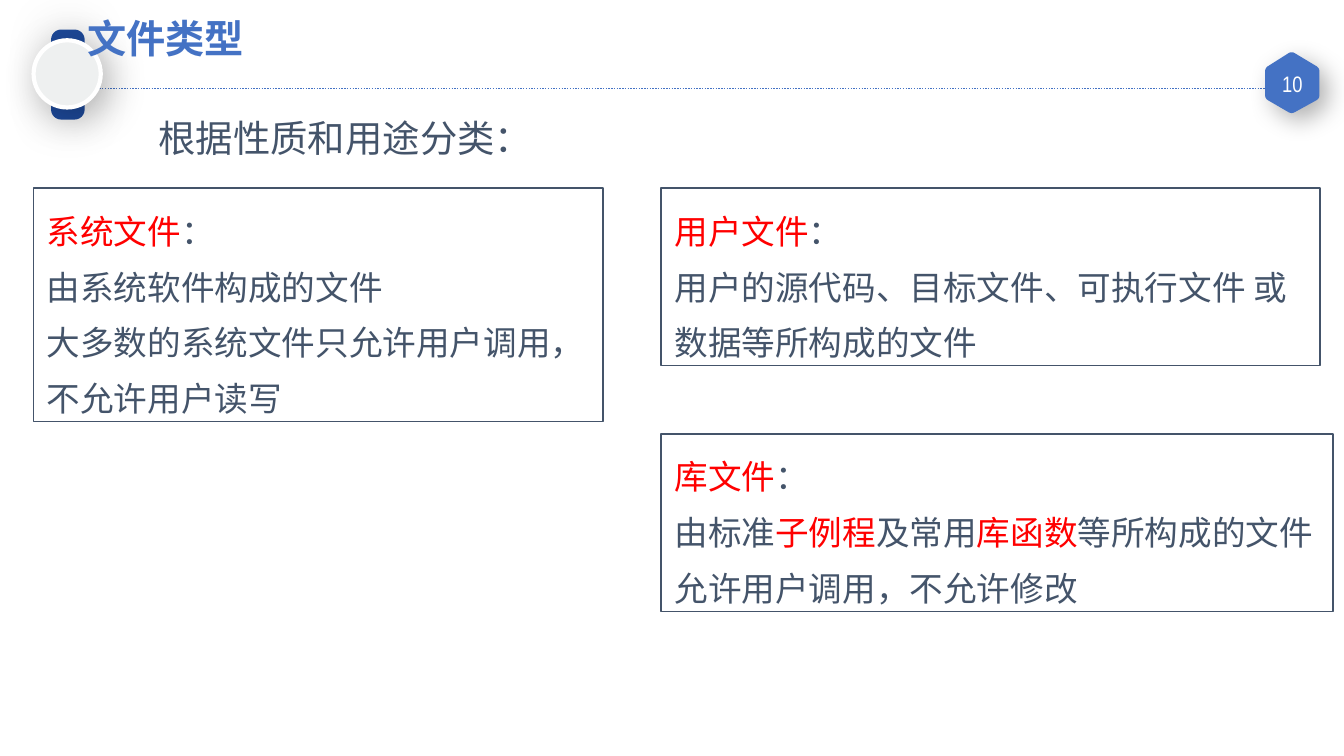
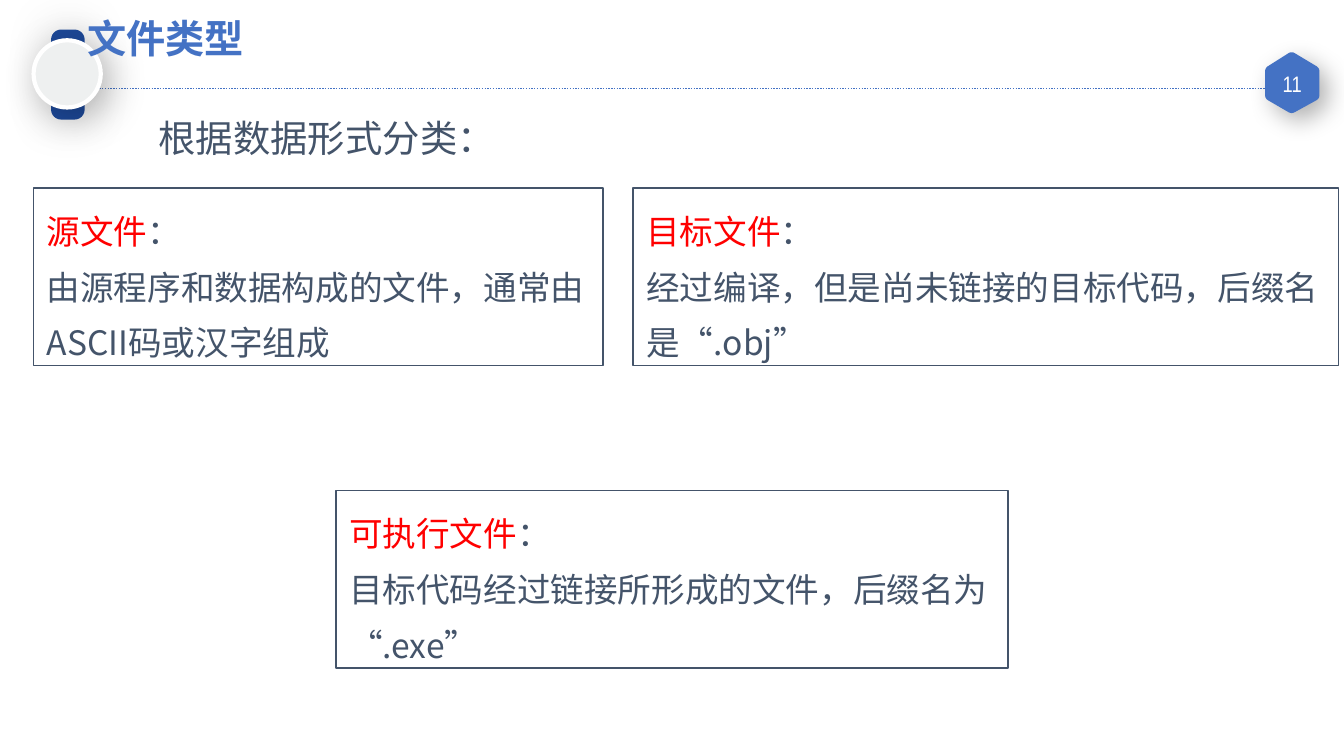
"""Builds two slides that classify file types by purpose and by data form."""
from dataclasses import dataclass

from lxml.etree import SubElement
from pptx import Presentation
from pptx.dml.color import RGBColor
from pptx.enum.dml import MSO_LINE
from pptx.enum.lang import MSO_LANGUAGE_ID
from pptx.enum.shapes import MSO_CONNECTOR, MSO_SHAPE
from pptx.enum.text import MSO_ANCHOR, MSO_AUTO_SIZE, PP_ALIGN
from pptx.oxml.ns import qn
from pptx.util import Inches, Pt


@dataclass(frozen=True)
class Theme:
    blue: str = "4472C4"
    navy: str = "1D4999"
    pale: str = "EEF0F0"
    white: str = "FFFFFF"
    ink: str = "44546A"
    red: str = "FF0000"
    shadow: str = "000000"
    font: str = "Noto Sans CJK SC"
    number_font: str = "Arial Narrow"
    title: int = 21
    heading: int = 20
    body: int = 18
    number: int = 12
    leading: int = 30


T = Theme()
FIRST_NUMBER = 10
TITLE = "文件类型"
SLIDES = [
    {
        "heading": ("根据性质和用途分类：", 3.01),
        "boxes": [
            ((0.25, 1.4, 4.24), ["*系统文件*：", "由系统软件构成的文件",
                                 "大多数的系统文件只允许用户调用，", "不允许用户读写"]),
            ((4.92, 1.4, 4.9), ["*用户文件*：", "用户的源代码、目标文件、可执行文件 或",
                                "数据等所构成的文件"]),
            ((4.92, 3.23, 5), ["*库文件*：", "由标准*子例程*及常用*库函数*等所构成的文件",
                               "允许用户调用，不允许修改"]),
        ],
    },
    {
        "heading": ("根据数据形式分类：", 2.73),
        "boxes": [
            ((0.25, 1.4, 4.24), ["*源文件*：", "由源程序和数据构成的文件，通常由",
                                 "ASCII码或汉字组成"]),
            ((4.71, 1.4, 5.25), ["*目标文件*：", "经过编译，但是尚未链接的目标代码，后缀名",
                                 "是“.obj”"]),
            ((2.5, 3.65, 5), ["*可执行文件*：", "目标代码经过链接所形成的文件，后缀名为",
                              "“.exe”"]),
        ],
    },
]
HEXAGON = [(9.42, 0.51), (9.61, 0.39), (9.81, 0.51),
           (9.81, 0.73), (9.61, 0.84), (9.42, 0.73)]


def rgb(color):
    return RGBColor.from_string(color)


def set_attrs(target, values):
    for name, value in values.items():
        setattr(target, name, value)


def add_run(p, text, size, color, font=T.font, bold=False):
    r = p.add_run()
    r.text = text
    r.font.color.rgb = rgb(color)
    set_attrs(r.font, {"size": Pt(size), "bold": bold, "name": font,
                       "language_id": MSO_LANGUAGE_ID.SIMPLIFIED_CHINESE})
    SubElement(r.font._element, qn("a:ea"), typeface=font)


def add_text_box(s, left, top, width, height, **frame):
    sp = s.shapes.add_textbox(*map(Inches, (left, top, width, height)))
    set_attrs(sp.text_frame, frame)
    return sp


def paint(sp, fill, shadow, line=None, width=1):
    """Fills and outlines a shape; shadow is opacity, blur, distance, angle."""
    sp.fill.solid()
    sp.fill.fore_color.rgb = rgb(fill)
    if line:
        sp.line.color.rgb = rgb(line)
        sp.line.width = Pt(width)
    else:
        sp.line.fill.background()
    sp.shadow.inherit = False
    opacity, blur, distance, angle = shadow
    effects = sp.element.spPr.find(qn("a:effectLst"))
    outer = SubElement(effects, qn("a:outerShdw"), blurRad=str(Pt(blur)),
                       dist=str(Pt(distance)), dir=str(angle * 60000),
                       algn="ctr", rotWithShape="0")
    color = SubElement(outer, qn("a:srgbClr"), val=T.shadow)
    SubElement(color, qn("a:alpha"), val=str(opacity * 1000))


def rounded(corners, cut=0.1, steps=6):
    """Returns the points, in EMU, of a polygon whose corners are curved."""
    points = []
    for i, corner in enumerate(corners):
        before, after = corners[i - 1], corners[(i + 1) % len(corners)]
        for t in (n / steps for n in range(steps + 1)):
            points.append(tuple(
                Inches(c + cut * ((1 - t) ** 2 * (a - c) + t ** 2 * (b - c)))
                for a, c, b in zip(before, corner, after)))
    return points


def add_frame(s, number):
    """Draws the header rule, page badge and emblem."""
    rule = s.shapes.add_connector(MSO_CONNECTOR.STRAIGHT,
                                  *map(Inches, (0.33, 0.66, 9.43, 0.66)))
    rule.line.color.rgb = rgb(T.blue)
    set_attrs(rule.line, {"width": Pt(0.75), "dash_style": MSO_LINE.ROUND_DOT})
    SubElement(rule._element.spPr, qn("a:effectLst"))

    start, *rest = rounded(HEXAGON)
    builder = s.shapes.build_freeform(*start)
    builder.add_line_segments(rest, close=True)
    paint(builder.convert_to_shape(), T.blue, (30, 13, 6, 45), T.blue)

    label = add_text_box(s, 9.42, 0.5, 0.39, 0.25, word_wrap=True,
                         vertical_anchor=MSO_ANCHOR.MIDDLE,
                         margin_left=Inches(0.07), margin_right=Inches(0.07),
                         margin_top=Inches(0.04), margin_bottom=Inches(0.04))
    p = label.text_frame.paragraphs[0]
    p.alignment = PP_ALIGN.CENTER
    add_run(p, str(number), T.number, T.white, T.number_font)

    bar = s.shapes.add_shape(MSO_SHAPE.ROUNDED_RECTANGLE,
                             *map(Inches, (0.38, 0.22, 0.25, 0.67)))
    bar.adjustments[0] = 0.3
    paint(bar, T.navy, (17, 27, 0, 0))
    disc = s.shapes.add_shape(MSO_SHAPE.OVAL, *map(Inches, (0.25, 0.3, 0.5, 0.5)))
    paint(disc, T.pale, (28, 22, 6, 45), T.white, 2.25)


def add_title(s):
    title = s.shapes.title
    set_attrs(title, {"left": Inches(0.55), "top": Inches(0.06),
                      "width": Inches(5.76), "height": Inches(0.45)})
    set_attrs(title.text_frame, {"vertical_anchor": MSO_ANCHOR.TOP, "word_wrap": True,
                                 "auto_size": MSO_AUTO_SIZE.SHAPE_TO_FIT_TEXT})
    p = title.text_frame.paragraphs[0]
    set_attrs(p, {"alignment": PP_ALIGN.LEFT, "space_before": Pt(0)})
    add_run(p, TITLE, T.title, T.blue, bold=True)
    title.element.getparent().append(title.element)


def add_heading(s, text, width):
    sp = add_text_box(s, 1.08, 0.81, width, 0.44, word_wrap=False,
                      auto_size=MSO_AUTO_SIZE.SHAPE_TO_FIT_TEXT)
    add_run(sp.text_frame.paragraphs[0], text, T.heading, T.ink)


def add_file_box(s, place, lines):
    """Adds an outlined box; text between asterisks is red."""
    height = len(lines) * T.leading / 72 + 0.07
    sp = add_text_box(s, *place, height, word_wrap=False,
                      auto_size=MSO_AUTO_SIZE.SHAPE_TO_FIT_TEXT)
    sp.line.color.rgb = rgb(T.ink)
    sp.line.width = Pt(1)
    tf = sp.text_frame
    for i, line in enumerate(lines):
        p = tf.add_paragraph() if i else tf.paragraphs[0]
        p.line_spacing = Pt(T.leading)
        for j, part in enumerate(line.split("*")):
            if part:
                add_run(p, part, T.body, T.red if j % 2 else T.ink)


def main():
    prs = Presentation()
    set_attrs(prs, {"slide_width": Inches(10), "slide_height": Inches(10 * 9 / 16)})
    for number, content in enumerate(SLIDES, FIRST_NUMBER):
        s = prs.slides.add_slide(prs.slide_layouts[5])
        add_frame(s, number)
        add_title(s)
        add_heading(s, *content["heading"])
        for place, lines in content["boxes"]:
            add_file_box(s, place, lines)
    prs.save("out.pptx")


if __name__ == "__main__":
    main()
